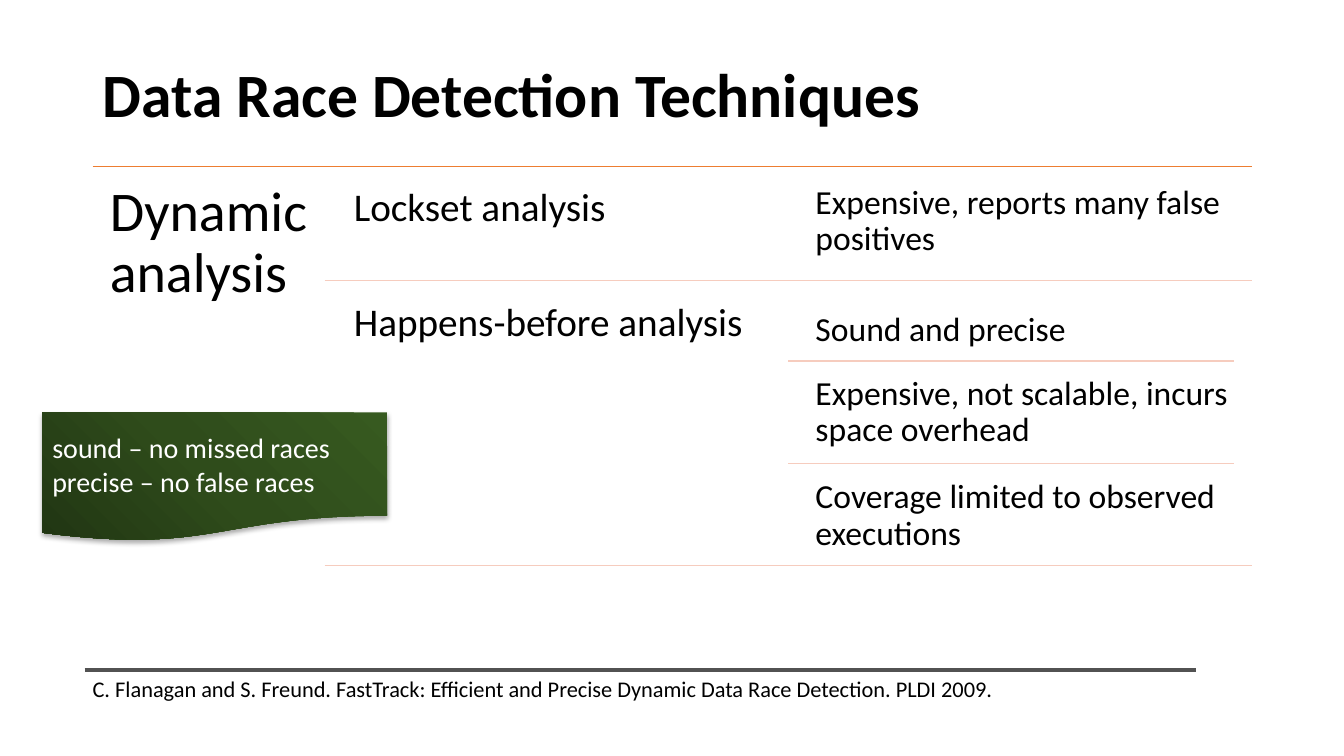
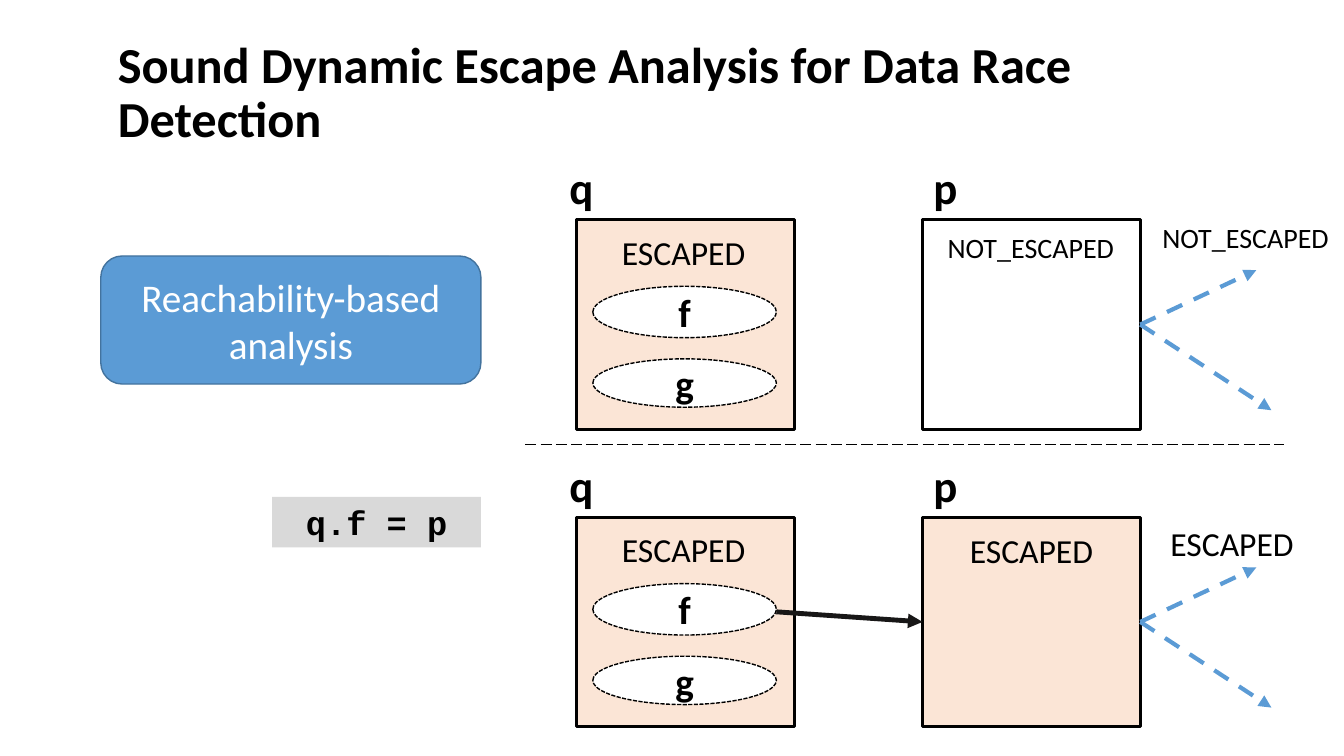
from dataclasses import dataclass
from typing import Optional

from lxml import etree
from pptx import Presentation
from pptx.dml.color import RGBColor
from pptx.enum.dml import MSO_LINE_DASH_STYLE as Dash
from pptx.enum.shapes import MSO_CONNECTOR as Connector, MSO_SHAPE as Geometry
from pptx.enum.text import MSO_ANCHOR as Anchor, PP_ALIGN as Align
from pptx.oxml import parse_xml
from pptx.oxml.ns import nsdecls, qn
from pptx.util import Inches, Pt

BLACK, WHITE = "000000", "FFFFFF"
ORANGE, PEACH, RULE_PINK = "ED7D31", "FBE5D6", "F6CCBE"
BLUE, BLUE_EDGE = "5B9BD5", "43739E"
GREY, LIGHT_GREY, ARROW_BLACK = "525252", "D9D9D9", "181717"
GREENS = ((0, "213613"), (50, "2F4C1B"), (100, "375A20"))


@dataclass(frozen=True)
class Style:
    size: float
    color: str = BLACK
    bold: bool = False
    font: str = "Calibri"
    align: Align = Align.LEFT
    anchor: Anchor = Anchor.TOP
    spacing: Optional[float] = None
    inset: Optional[float] = None
    wrap: bool = True


@dataclass(frozen=True)
class Outline:
    color: str
    width: float = 1
    dash: Optional[Dash] = None
    arrow: bool = False


@dataclass(frozen=True)
class Finding:
    text: str
    box: tuple
    style: Style


@dataclass(frozen=True)
class HeapState:
    top: float
    p_fill: Optional[str]
    p_label: str
    p_label_top: float
    reached_at: tuple


TECHNIQUE = Style(28, spacing=0.9, inset=0.12)
REMARK = Style(24, spacing=0.9, inset=0.1)
VARIABLE = Style(32, bold=True, wrap=False)
FIELD = Style(28, bold=True, align=Align.CENTER, anchor=Anchor.MIDDLE)
BOX_EDGE = Outline(BLACK, 2)
FIELD_EDGE = Outline(BLACK, 1, Dash.SQUARE_DOT)
REACH = Outline(BLUE, 3, Dash.DASH, arrow=True)


def rgb(color: str) -> RGBColor:
    return RGBColor.from_string(color)


def set_text(shape, text: str, style: Style) -> None:
    frame = shape.text_frame
    frame.text = text
    frame.word_wrap = style.wrap
    frame.vertical_anchor = style.anchor
    if style.inset is not None:
        frame.margin_left = frame.margin_right = Inches(style.inset)
        frame.margin_top = frame.margin_bottom = Inches(style.inset)
    for paragraph in frame.paragraphs:
        paragraph.alignment = style.align
        if style.spacing:
            paragraph.line_spacing = style.spacing
        for run in paragraph.runs:
            run.font.name = style.font
            run.font.size = Pt(style.size)
            run.font.bold = style.bold
            run.font.color.rgb = rgb(style.color)


def set_line(line, outline: Outline) -> None:
    line.color.rgb = rgb(outline.color)
    line.width = Pt(outline.width)
    if outline.dash:
        line.dash_style = outline.dash


def add_text(slide, box: tuple, text: str, style: Style) -> None:
    set_text(slide.shapes.add_textbox(*map(Inches, box)), text, style)


def add_box(slide, geometry: Geometry, box: tuple, fill: Optional[str] = None,
            outline: Optional[Outline] = None, text: str = "",
            style: Optional[Style] = None):
    shape = slide.shapes.add_shape(geometry, *map(Inches, box))
    shape.shadow.inherit = False
    if fill:
        shape.fill.solid()
        shape.fill.fore_color.rgb = rgb(fill)
    else:
        shape.fill.background()
    if outline:
        set_line(shape.line, outline)
    else:
        shape.line.fill.background()
    if style:
        set_text(shape, text, style)
    return shape


def add_line(slide, start: tuple, end: tuple, outline: Outline) -> None:
    line = slide.shapes.add_connector(Connector.STRAIGHT, *map(Inches, start + end))
    set_line(line.line, outline)
    properties = line._element.spPr
    if outline.arrow:
        etree.SubElement(properties.find(qn("a:ln")), qn("a:tailEnd"), type="triangle")
    etree.SubElement(properties, qn("a:effectLst"))


def add_title(slide, left: float, top: float, text: str, size: float) -> None:
    add_text(slide, (left, top, 11.5, 1.45), text,
             Style(size, bold=True, anchor=Anchor.MIDDLE, spacing=0.9))


def shade_note(note) -> None:
    """Radial green gradient from the lower left corner, with a soft shadow."""
    stops = "".join(f'<a:gs pos="{pos * 1000}"><a:srgbClr val="{color}"/></a:gs>'
                    for pos, color in GREENS)
    gradient = parse_xml(
        f'<a:gradFill {nsdecls("a")} rotWithShape="1"><a:gsLst>{stops}</a:gsLst>'
        '<a:path path="circle"><a:fillToRect t="100000" r="100000"/></a:path></a:gradFill>')
    shadow = parse_xml(
        f'<a:effectLst {nsdecls("a")}><a:outerShdw blurRad="{Pt(3.5)}" dist="{Pt(2.2)}" '
        'dir="5400000" rotWithShape="0"><a:srgbClr val="000000"><a:alpha val="32000"/>'
        '</a:srgbClr></a:outerShdw></a:effectLst>')
    properties = note._element.spPr
    for tag, replacement in (("a:noFill", gradient), ("a:effectLst", shadow)):
        properties.replace(properties.find(qn(tag)), replacement)


def build_techniques(slide) -> None:
    add_title(slide, 0.92, 0.24, "Data Race Detection Techniques", 44)

    # Outline of techniques and their remarks
    add_text(slide, (0.92, 1.65, 2.3, 4.06), "Dynamic analysis",
             Style(40, spacing=0.9, inset=0.17))
    findings = (
        Finding("Lockset analysis", (3.39, 1.74, 4.43, 1.89), TECHNIQUE),
        Finding("Expensive, reports many false positives", (7.99, 1.74, 4.43, 1.89), REMARK),
        Finding("Happens-before analysis", (3.39, 2.88, 4.43, 1.89), TECHNIQUE),
        Finding("Sound and precise", (7.99, 3, 4.43, 0.49), REMARK),
        Finding("Expensive, not scalable, incurs space overhead",
                (7.99, 3.63, 4.43, 0.62), REMARK),
        Finding("Coverage limited to observed executions", (7.99, 4.66, 4.43, 0.77), REMARK),
    )
    for finding in findings:
        add_text(slide, finding.box, finding.text, finding.style)

    # Rules between the rows
    add_line(slide, (0.92, 1.65), (12.42, 1.65), Outline(ORANGE))
    for left, right, y in ((3.22, 12.42, 2.78), (7.82, 12.24, 3.58),
                           (7.82, 12.24, 4.6), (3.22, 12.42, 5.61)):
        add_line(slide, (left, y), (right, y), Outline(RULE_PINK))

    # Note on the terms
    note = add_box(slide, Geometry.FLOWCHART_DOCUMENT, (0.42, 4.09, 3.42, 1.28),
                   text="sound – no missed races\nprecise – no false races",
                   style=Style(20, WHITE, anchor=Anchor.MIDDLE))
    shade_note(note)

    # Citation
    add_text(slide, (0.82, 6.65, 11.02, 0.37),
             "C. Flanagan and S. Freund. FastTrack: Efficient and Precise Dynamic "
             "Data Race Detection. PLDI 2009.", Style(16))
    add_line(slide, (0.84, 6.65), (11.86, 6.65), Outline(GREY, 3))


def add_state_label(slide, left: float, top: float, text: str) -> None:
    size, width, height = (20, 1.87, 0.44) if text == "NOT_ESCAPED" else (24, 1.44, 0.5)
    add_text(slide, (left, top, width, height), text, Style(size, wrap=False))


def add_heap(slide, state: HeapState) -> None:
    top = state.top
    # Object q with its fields
    add_text(slide, (5.55, top - 0.64, 0.44, 0.64), "q", VARIABLE)
    add_box(slide, Geometry.RECTANGLE, (5.72, top, 2.16, 2.08), PEACH, BOX_EDGE)
    add_state_label(slide, 6.07, top + 0.07, "ESCAPED")
    for field, offset, height in (("f", 0.66, 0.51), ("g", 1.38, 0.48)):
        add_box(slide, Geometry.OVAL, (5.88, top + offset, 1.82, height),
                WHITE, FIELD_EDGE, field, FIELD)

    # Object p and what it reaches
    add_text(slide, (9.16, top - 0.64, 0.44, 0.64), "p", VARIABLE)
    add_box(slide, Geometry.RECTANGLE, (9.15, top, 2.16, 2.08), state.p_fill, BOX_EDGE)
    p_label_left = 9.3 if state.p_label == "NOT_ESCAPED" else 9.52
    add_state_label(slide, p_label_left, state.p_label_top, state.p_label)
    for x, offset in ((12.46, 0.5), (12.61, 1.89)):
        add_line(slide, (11.31, top + 1.04), (x, top + offset), REACH)
    add_state_label(slide, *state.reached_at, state.p_label)


def build_escape_analysis(slide) -> None:
    add_title(slide, 1.07, 0.21, "Sound Dynamic Escape Analysis for Data Race Detection", 36)

    # Method and statement
    centred = dict(align=Align.CENTER, anchor=Anchor.MIDDLE)
    add_box(slide, Geometry.ROUNDED_RECTANGLE, (1, 2.54, 3.77, 1.27), BLUE,
            Outline(BLUE_EDGE), "Reachability-based analysis", Style(28, WHITE, **centred))
    add_box(slide, Geometry.RECTANGLE, (2.7, 4.93, 2.07, 0.5), LIGHT_GREY, None,
            "q.f = p", Style(24, bold=True, font="Courier New", **centred))

    # Heap before and after the statement
    for state in (HeapState(2.18, None, "NOT_ESCAPED", 2.24, (11.43, 2.14)),
                  HeapState(5.13, PEACH, "ESCAPED", 5.21, (11.51, 5.14))):
        add_heap(slide, state)
    add_line(slide, (5.21, 4.41), (12.73, 4.41), Outline(BLACK, 1, Dash.LONG_DASH))
    add_line(slide, (7.7, 6.07), (9.15, 6.17), Outline(ARROW_BLACK, 3.5, arrow=True))


def main() -> None:
    deck = Presentation()
    deck.slide_width, deck.slide_height = Inches(13.33), Inches(7.5)
    blank = deck.slide_layouts[6]
    for build in (build_techniques, build_escape_analysis):
        build(deck.slides.add_slide(blank))
    deck.save("out.pptx")


if __name__ == "__main__":
    main()
